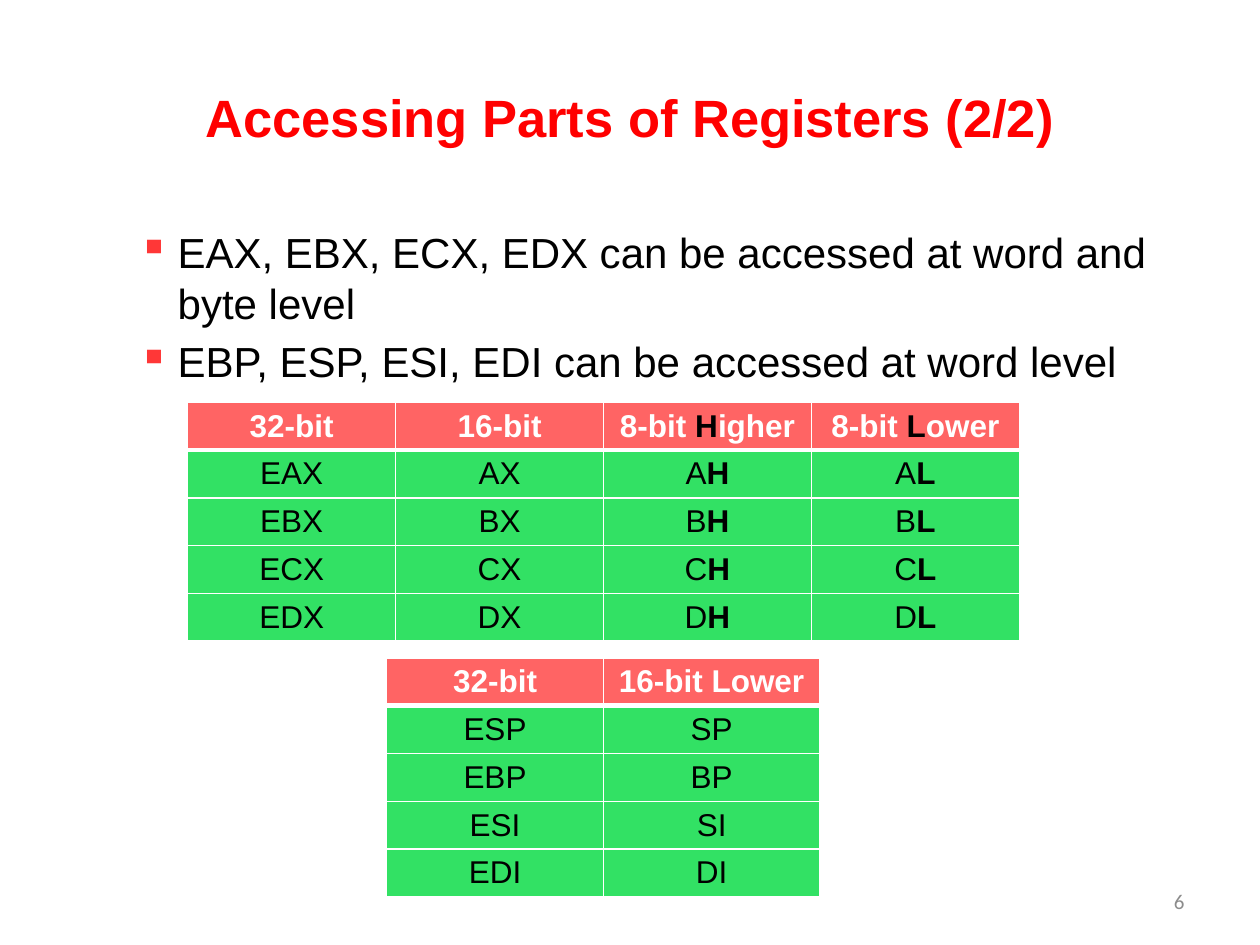
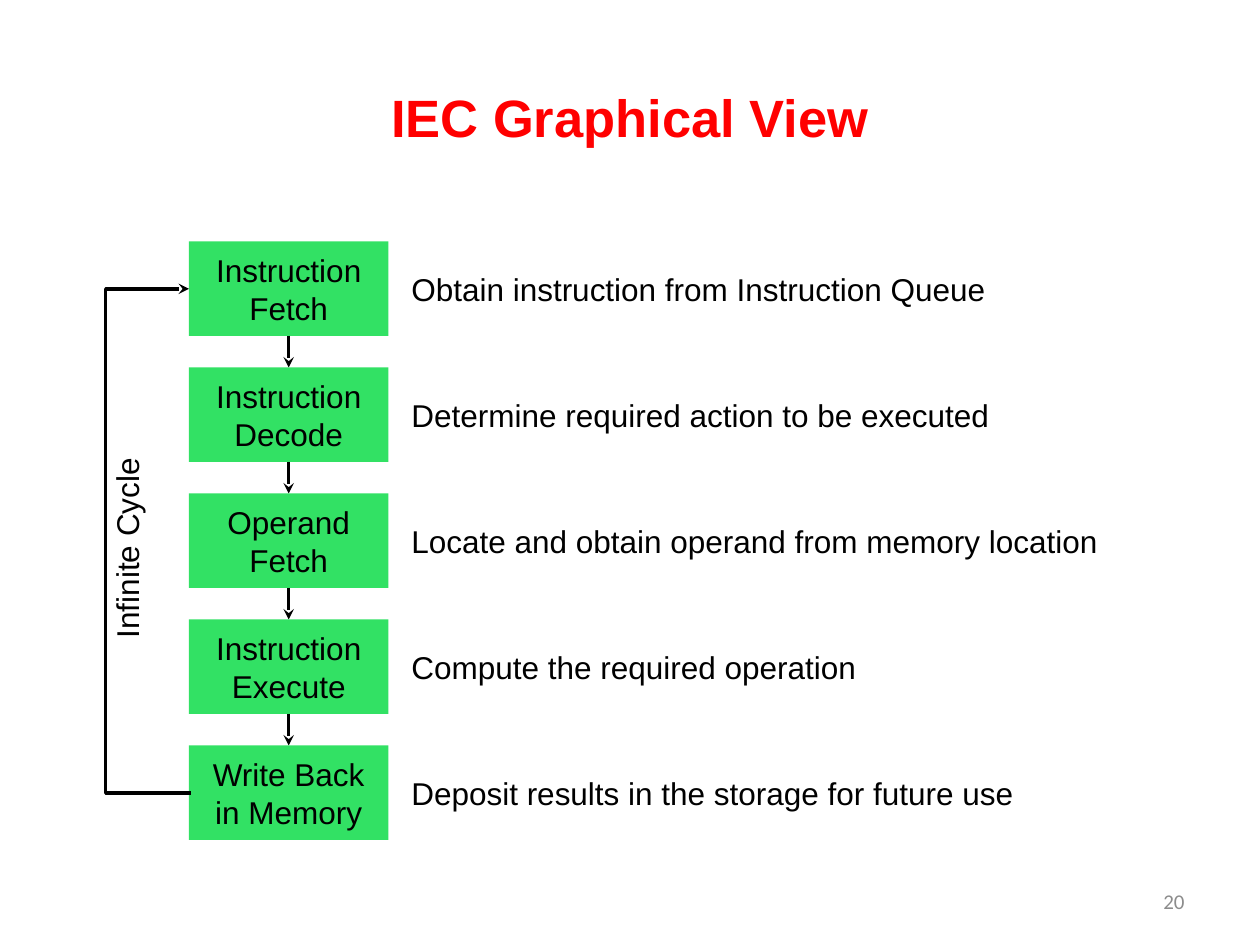
from dataclasses import dataclass

from lxml.etree import SubElement
from pptx import Presentation
from pptx.dml.color import RGBColor
from pptx.enum.shapes import MSO_CONNECTOR, MSO_SHAPE
from pptx.enum.text import MSO_ANCHOR, PP_ALIGN
from pptx.oxml.ns import qn
from pptx.util import Pt


@dataclass(frozen=True)
class Theme:
    red: RGBColor = RGBColor(0xFF, 0x00, 0x00)
    bullet: str = "FF3737"
    header: RGBColor = RGBColor(0xFF, 0x64, 0x64)
    green: RGBColor = RGBColor(0x32, 0xE1, 0x64)
    grey: RGBColor = RGBColor(0x8C, 0x8C, 0x8C)
    black: RGBColor = RGBColor(0, 0, 0)
    white: RGBColor = RGBColor(0xFF, 0xFF, 0xFF)
    font: str = "Arial"
    footer_font: str = "Calibri"
    title_size: int = 30
    body_size: int = 24
    label_size: int = 18
    footer_size: int = 12


theme = Theme()


def style_text(paragraph, size=theme.label_size, color=theme.black, bold=False,
               align=PP_ALIGN.LEFT, name=theme.font):
    paragraph.alignment = align
    font = paragraph.font
    font.name, font.size, font.bold = name, Pt(size), bold
    font.color.rgb = color


def add_text(slide, text, left, top, width, height, wrap=True,
             anchor=MSO_ANCHOR.TOP, **style):
    shape = slide.shapes.add_textbox(Pt(left), Pt(top), Pt(width), Pt(height))
    frame = shape.text_frame
    frame.word_wrap = wrap
    frame.vertical_anchor = anchor
    frame.text = text
    for paragraph in frame.paragraphs:
        style_text(paragraph, **style)
    return shape


presentation = Presentation()
presentation.slide_width, presentation.slide_height = Pt(720), Pt(540)

# Titles and page numbers
slides = []
for title, number in (("Accessing Parts of Registers (2/2)", "6"),
                      ("IEC Graphical View", "20")):
    slide = presentation.slides.add_slide(presentation.slide_layouts[6])
    add_text(slide, title, 36, 21.6, 648, 90, anchor=MSO_ANCHOR.MIDDLE,
             size=theme.title_size, color=theme.red, bold=True, align=PP_ALIGN.CENTER)
    add_text(slide, number, 516, 500.5, 168, 28.75, anchor=MSO_ANCHOR.MIDDLE,
             size=theme.footer_size, color=theme.grey, align=PP_ALIGN.RIGHT,
             name=theme.footer_font)
    slides.append(slide)
registers_slide, cycle_slide = slides

# Register bullets
body = add_text(registers_slide,
                "EAX, EBX, ECX, EDX can be accessed at word and byte level\n"
                "EBP, ESP, ESI, EDI can be accessed at word level",
                36, 126, 648, 356.4, size=theme.body_size)
for paragraph in body.text_frame.paragraphs:
    properties = paragraph._p.get_or_add_pPr()
    properties.set("marL", str(Pt(58.5)))
    properties.set("indent", str(Pt(-22.5)))
    # Bullet elements come before the paragraph font
    bullet_color = properties.makeelement(qn("a:buClr"), {})
    SubElement(bullet_color, qn("a:srgbClr"), val=theme.bullet)
    properties.insert(0, bullet_color)
    properties.insert(1, properties.makeelement(qn("a:buChar"), {"char": "▪"}))
body.text_frame.paragraphs[1].space_before = Pt(4.8)

# Register tables: bars enclose the emphasised letter
byte_rows = [["32-bit", "16-bit", "8-bit |H|igher", "8-bit |L|ower"]]
byte_rows += [[f"E{letter}X", f"{letter}X", f"{letter}|H|", f"{letter}|L|"]
              for letter in "ABCD"]
word_rows = [["32-bit", "16-bit Lower"]]
word_rows += [[f"E{name}", name] for name in ("SP", "BP", "SI", "DI")]
row_height = 27.3

for rows, left, top, column_width in ((byte_rows, 107.25, 229.9, 118.8),
                                      (word_rows, 221, 376, 123.8)):
    columns = len(rows[0])
    table = registers_slide.shapes.add_table(
        len(rows), columns, Pt(left), Pt(top),
        Pt(column_width * columns), Pt(row_height * len(rows))).table
    for column in table.columns:
        column.width = Pt(column_width)
    for row_index, row in enumerate(rows):
        table.rows[row_index].height = Pt(row_height)
        is_header = row_index == 0
        for column_index, text in enumerate(row):
            cell = table.cell(row_index, column_index)
            cell.margin_top = cell.margin_bottom = Pt(2.8)
            cell.vertical_anchor = MSO_ANCHOR.MIDDLE
            cell_properties = cell._tc.get_or_add_tcPr()
            for side in "LRTB":
                thick = (row_index, side) in ((0, "B"), (1, "T"))
                border = SubElement(cell_properties, qn(f"a:ln{side}"),
                                    w=str(Pt(3 if thick else 1)))
                border_fill = SubElement(border, qn("a:solidFill"))
                SubElement(border_fill, qn("a:srgbClr"), val=str(theme.white))
            cell.fill.solid()
            cell.fill.fore_color.rgb = theme.header if is_header else theme.green
            paragraph = cell.text_frame.paragraphs[0]
            style_text(paragraph, align=PP_ALIGN.CENTER, bold=is_header,
                       color=theme.white if is_header else theme.black)
            for part_index, part in enumerate(text.split("|")):
                if part:
                    run = paragraph.add_run()
                    run.text = part
                    emphasised = part_index % 2 == 1
                    run.font.bold = is_header or emphasised
                    run.font.color.rgb = (theme.white if is_header and not emphasised
                                          else theme.black)

# Instruction cycle steps: name, description, description width
steps = [
    ("Instruction Fetch", "Obtain instruction from Instruction Queue", 345.6),
    ("Instruction Decode", "Determine required action to be executed", 347.8),
    ("Operand Fetch", "Locate and obtain operand from memory location", 410.4),
    ("Instruction Execute", "Compute the required operation", 270.7),
    ("Write Back in Memory", "Deposit results in the storage for future use", 362.2),
]
step_left, first_top, step_width, step_height, step_pitch = 108, 138, 114, 54, 72
label_height = 29
connectors = []
for index, (name, description, description_width) in enumerate(steps):
    top = first_top + index * step_pitch
    shape = cycle_slide.shapes.add_shape(MSO_SHAPE.RECTANGLE, Pt(step_left), Pt(top),
                                         Pt(step_width), Pt(step_height))
    shape.shadow.inherit = False
    shape.fill.solid()
    shape.fill.fore_color.rgb = theme.green
    shape.line.fill.background()
    shape.text_frame.word_wrap = True
    shape.text_frame.vertical_anchor = MSO_ANCHOR.MIDDLE
    shape.text_frame.text = name
    style_text(shape.text_frame.paragraphs[0], align=PP_ALIGN.CENTER)
    add_text(cycle_slide, description, 228, top + (step_height - label_height) / 2,
             description_width, label_height, wrap=False)
    if index < len(steps) - 1:
        center = step_left + step_width / 2
        connectors.append(cycle_slide.shapes.add_connector(
            MSO_CONNECTOR.STRAIGHT, Pt(center), Pt(top + step_height),
            Pt(center), Pt(top + step_pitch)))

# Return path, turned half a circle so that it ends at the first step
first_middle = first_top + step_height / 2
last_middle = first_middle + (len(steps) - 1) * step_pitch
return_path = cycle_slide.shapes.add_connector(
    MSO_CONNECTOR.ELBOW, Pt(step_left), Pt(first_middle),
    Pt(step_left + 1), Pt(last_middle))
return_path._element.spPr.find(qn("a:xfrm")).set("rot", "10800000")
adjustments = return_path._element.spPr.find(qn("a:prstGeom")).get_or_add_avLst()
SubElement(adjustments, qn("a:gd"), name="adj1", fmla="val 4900000")
connectors.append(return_path)

# Line and arrowhead shared by all connectors
for connector in connectors:
    connector.line.color.rgb = theme.black
    connector.line.width = Pt(2)
    properties = connector._element.spPr
    SubElement(properties.find(qn("a:ln")), qn("a:tailEnd"), type="stealth")
    SubElement(properties, qn("a:effectLst"))

# Cycle label
cycle_label = add_text(cycle_slide, "Infinite Cycle", 13, 298, 118.8, label_height,
                       wrap=False)
cycle_label.rotation = 270

presentation.save("out.pptx")
